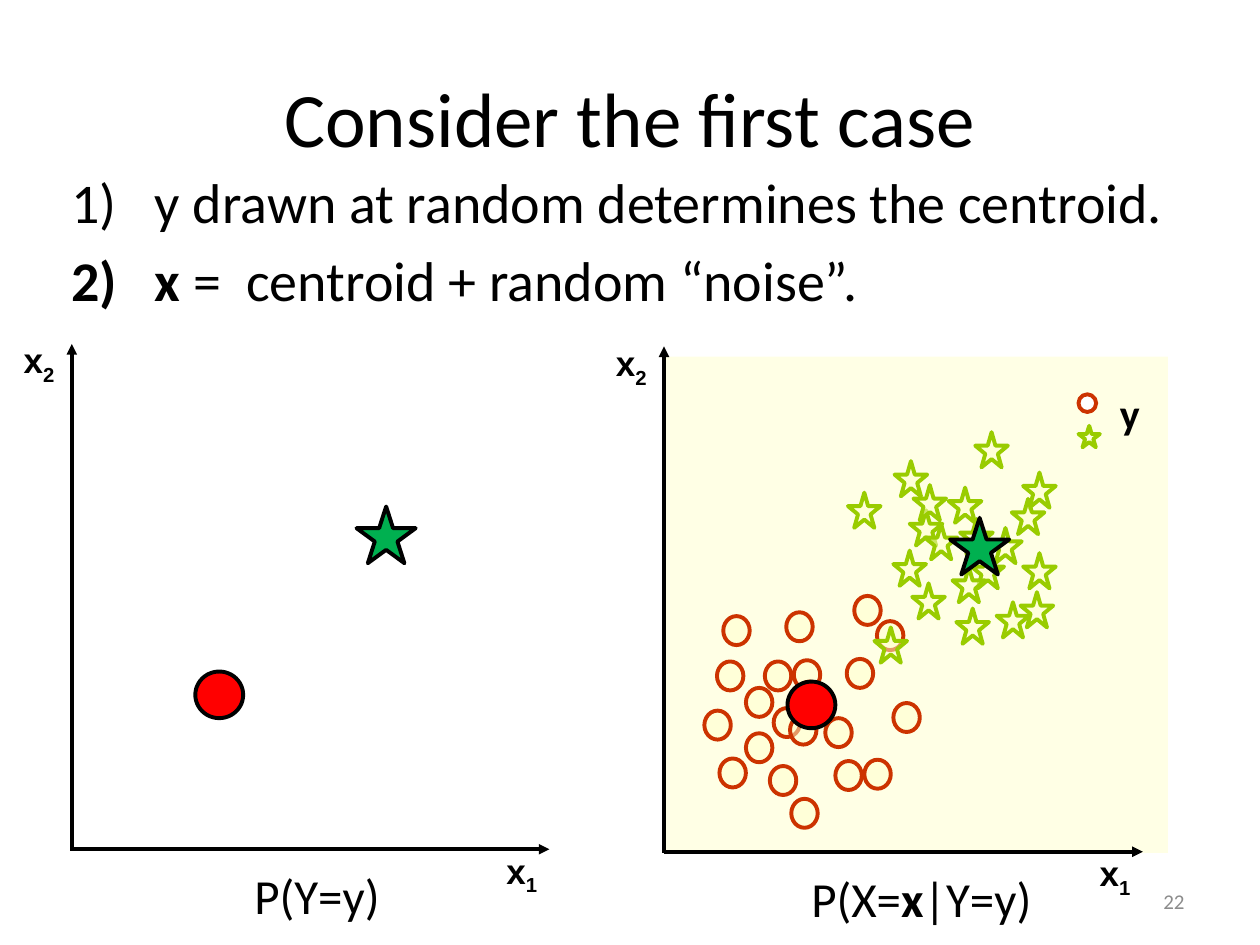
from lxml import etree
from pptx import Presentation
from pptx import util as u
from pptx.dml.color import RGBColor
from pptx.enum import shapes, text
from pptx.oxml.ns import qn

PX = 9144  # 100 px to the inch
RED, GREEN, CREAM, BLACK = "CC3300", "99CC00", "FFFFCC", "000000"
CIRCLE = shapes.MSO_SHAPE.OVAL
STAR = shapes.MSO_SHAPE.STAR_5_POINT
LEFT, CENTER, RIGHT = text.PP_ALIGN.LEFT, text.PP_ALIGN.CENTER, text.PP_ALIGN.RIGHT

# Sample positions, from the top left of the plot
CIRCLES = [
    (101, 359), (84, 333), (136, 329), (44, 327), (32, 289), (42, 250), (145, 248),
    (128, 295), (169, 218), (182, 283), (151, 198), (103, 249), (97, 211), (65, 271),
    (47, 214), (159, 328), (87, 287), (105, 266), (100, 293), (65, 307), (80, 250),
]
STARS = [
    (167, 223), (283, 195), (232, 208), (195, 130), (258, 144), (198, 110), (197, 188),
    (207, 141), (146, 116), (183, 91), (247, 68), (182, 162), (285, 100), (235, 137),
    (226, 112), (244, 164), (229, 175), (276, 121), (285, 164), (264, 203),
]


def emu(*lengths):
    return [u.Emu(length * PX) for length in lengths]


def rgb(color):
    return RGBColor.from_string(color)


def write(paragraph, runs, size, font="Calibri", color=BLACK, bold=False, align=LEFT):
    """Fill a paragraph from (text, style) runs; style is "", "bold" or "sub"."""
    paragraph.alignment = align
    for words, style in runs:
        run = paragraph.add_run()
        run.text = words
        run.font.size, run.font.name = u.Pt(size), font
        run.font.bold = bold or style == "bold"
        run.font.color.rgb = rgb(color)
        if style == "sub":
            run.font._element.set("baseline", "-25000")


def add_text(slide, box, runs, size, wrap=True, anchor=text.MSO_ANCHOR.TOP, **style):
    frame = slide.shapes.add_textbox(*emu(*box)).text_frame
    frame.word_wrap = wrap
    frame.vertical_anchor = anchor
    write(frame.paragraphs[0], runs, size, **style)
    return frame


def add_mark(slide, kind, box, fill=None, line=None, alpha=None):
    shape = slide.shapes.add_shape(kind, *emu(*box))
    shape.shadow.inherit = False
    if fill:
        shape.fill.solid()
        shape.fill.fore_color.rgb = rgb(fill)
    else:
        shape.fill.background()
    if alpha:
        color = shape._element.spPr.find(qn("a:solidFill"))[0]
        etree.SubElement(color, qn("a:alpha"), val=str(alpha * 1000))
    if line:
        shape.line.color.rgb = rgb(line)
        shape.line.width = u.Pt(2.25)
    else:
        shape.line.fill.background()


def add_arrow(slide, start, end):
    arrow = slide.shapes.add_connector(
        shapes.MSO_CONNECTOR.STRAIGHT, *emu(*start, *end))
    arrow.line.color.rgb = rgb(BLACK)
    arrow.line.width = u.Pt(2)
    etree.SubElement(arrow.line._get_or_add_ln(), qn("a:tailEnd"), type="triangle")
    etree.SubElement(arrow._element.spPr, qn("a:effectLst"))


def draw_title(slide, box, words):
    title = slide.shapes.title
    title.left, title.top, title.width, title.height = emu(*box)
    title.text_frame.vertical_anchor = text.MSO_ANCHOR.MIDDLE
    write(title.text_frame.paragraphs[0], [(words, "")], 44, align=CENTER)


def draw_steps(slide, box, steps):
    frame = add_text(slide, box, [], 32)
    for index, runs in enumerate(steps):
        paragraph = frame.add_paragraph() if index else frame.paragraphs[0]
        if index:
            paragraph.space_before = u.Pt(6.4)
        indent = 66 * PX
        properties = paragraph._p.get_or_add_pPr()
        properties.set("marL", str(indent))
        properties.set("indent", str(-indent))
        etree.SubElement(properties, qn("a:buFont"), typeface="Calibri")
        etree.SubElement(properties, qn("a:buAutoNum"), type="arabicParenR")
        write(paragraph, runs, 32)


def draw_samples(slide, box):
    """Draw the shaded background, both clouds of samples and the legend."""
    left, top, width, height = box
    add_mark(slide, shapes.MSO_SHAPE.RECTANGLE,
             (left + 1, top + 8, width + 19, height - 7), CREAM, alpha=50)
    clouds = [(CIRCLE, CIRCLES, (21, 23), RED), (STAR, STARS, (26, 28), GREEN)]
    for kind, positions, size, line in clouds:
        for x, y in positions:
            add_mark(slide, kind, (left + x, top + y, *size), CREAM, line, alpha=50)
    add_mark(slide, CIRCLE, (left + 329, top + 38, 14, 14), "FFFFFF", RED)
    add_mark(slide, STAR, (left + 329, top + 63, 17, 17), line=GREEN)
    add_text(slide, (left + 352, top + 28, 36, 51), [("y", "")], 24,
             wrap=False, bold=True)


def draw_plot(slide, box, circle, star, caption, caption_box):
    """Draw axes, their labels, the two centroids and the caption."""
    left, top, width, height = box
    bottom = top + height
    add_arrow(slide, (left, bottom), (left + width, bottom))
    add_arrow(slide, (left, bottom + 1), (left, top))
    add_mark(slide, CIRCLE, (left + circle[0], top + circle[1], 38, 37), "FF0000", BLACK)
    add_mark(slide, STAR, (left + star[0], top + star[1], 47, 45), "00B050", BLACK)
    labels = [("2", left - 48, top - 9), ("1", left + width - 44, bottom - 5)]
    for number, x, y in labels:
        add_text(slide, (x, y, 86, 43), [("x", ""), (number, "sub")], 20,
                 font="Arial", bold=True)
    x, y, *size = caption_box
    add_text(slide, (left + x, top + y, *size), caption, 28, wrap=False)


def main():
    presentation = Presentation()
    presentation.slide_width, presentation.slide_height = emu(1000, 750)
    slide = presentation.slides.add_slide(presentation.slide_layouts[5])
    draw_title(slide, (50, 30, 900, 125), "Consider the first case")
    draw_steps(slide, (47, 128, 900, 130), [
        [("y drawn at random determines the centroid.", "")],
        [("x", "bold"), (" =  centroid + random “noise”.", "")],
    ])
    add_text(slide, (717, 695, 233, 40), [("22", "")], 12, color="8C8C8C",
             align=RIGHT, anchor=text.MSO_ANCHOR.MIDDLE)

    draw_plot(slide, (57, 273, 379, 401), (98, 260), (226, 129),
              [("P(Y=y)", "")], (135, 409, 124, 57))
    conditional_box = (527, 275, 380, 401)
    draw_samples(slide, conditional_box)
    draw_plot(slide, conditional_box, (98, 266), (227, 136),
              [("P(X=", ""), ("x", "bold"), ("|Y=y)", "")], (107, 409, 202, 57))
    presentation.save("out.pptx")


if __name__ == "__main__":
    main()
